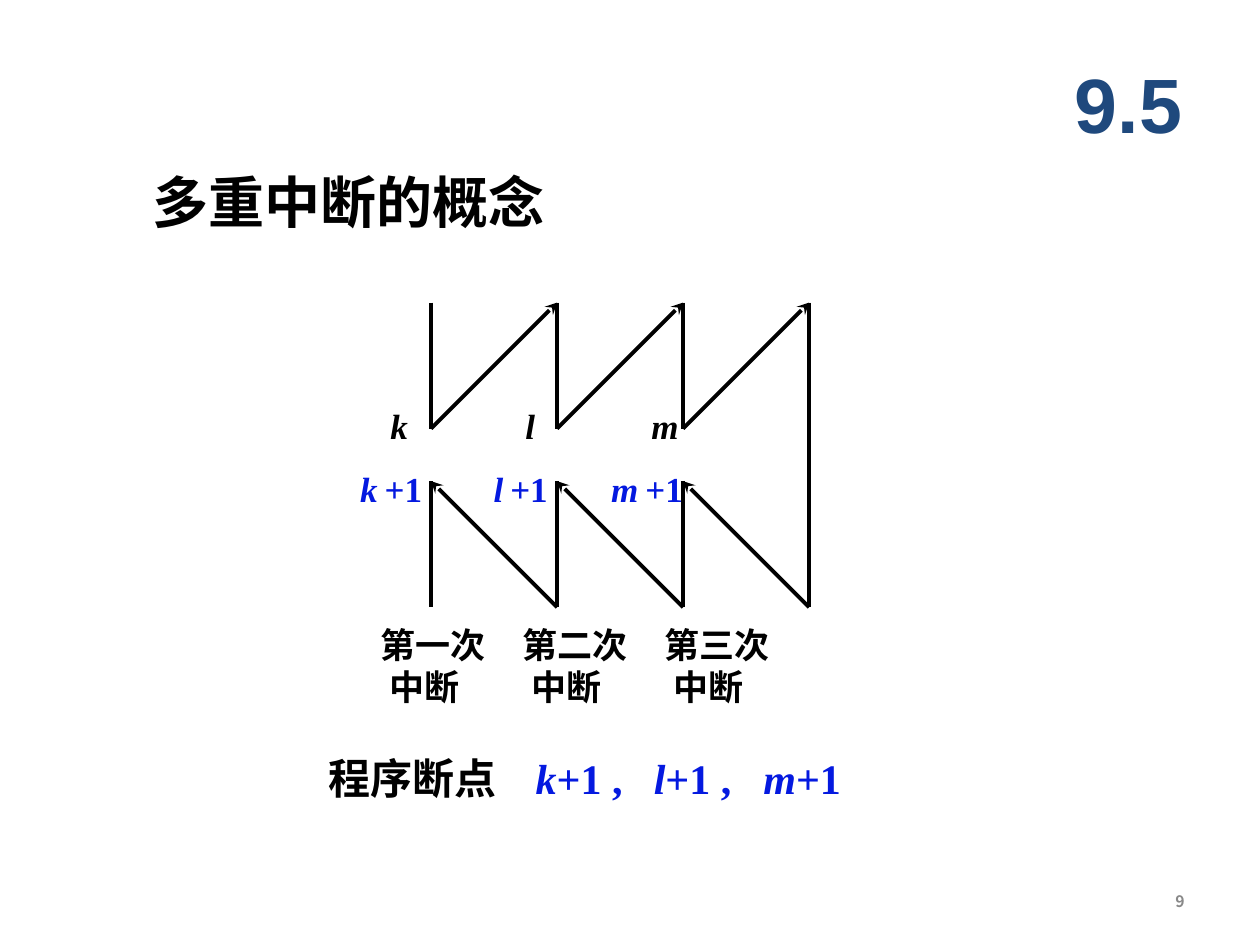
"""Build the slide on nested interrupts and their breakpoints."""
from lxml import etree
from pptx import Presentation
from pptx import util as u
from pptx.dml.color import RGBColor
from pptx.enum import shapes, text
from pptx.oxml.ns import qn

BLACK = RGBColor(0x00, 0x00, 0x00)
BLUE = RGBColor(0x04, 0x19, 0xE0)
NAVY = RGBColor(0x1F, 0x49, 0x7D)
GREY = RGBColor(0x89, 0x89, 0x89)
SERIF = "Times New Roman"

SECTION = "9.5"
HEADING = "多重中断的概念"
LEVELS = [
    {"name": "k", "at": (7.62, 0.86), "next_at": (7.01, 1.75), "caption": "第一次"},
    {"name": "l", "at": (10.34, 0.71), "next_at": (9.7, 1.6), "caption": "第二次"},
    {"name": "m", "at": (12.88, 1.07), "next_at": (12.07, 1.96), "caption": "第三次"},
]
INTERRUPT = "中断"
SUMMARY = "程序断点"
SUMMARY_TABS = (4.17, 6.55, 8.76)
PAGE = "9"

LEFT, STEP = 8.69, 2.54
CALL_TOP, CALL_END = 6.1, 8.64
RETURN_TOP, RETURN_END = 9.7, 12.24


def set_font(font, size, color=BLACK, name=SERIF):
    font.size, font.name, font.bold = u.Pt(size), name, True
    font.color.rgb = color


def add_box(s, x, y, w, h, wrap=False):
    tf = s.shapes.add_textbox(u.Cm(x), u.Cm(y), u.Cm(w), u.Cm(h)).text_frame
    tf.word_wrap = wrap
    return tf


def add_run(p, content, italic=False, color=None, size=None):
    r = p.add_run()
    r.text = content
    r.font.italic = italic
    if color is not None:
        r.font.color.rgb = color
    if size is not None:
        r.font.size = u.Pt(size)


def add_line(s, x1, y1, x2, y2, arrow=False):
    line = s.shapes.add_connector(
        shapes.MSO_CONNECTOR.STRAIGHT, u.Cm(x1), u.Cm(y1), u.Cm(x2), u.Cm(y2))
    line.line.color.rgb = BLACK
    line.line.width = u.Pt(2.25)
    if arrow:
        etree.SubElement(line.line._get_or_add_ln(), qn("a:tailEnd"), type="stealth")
    etree.SubElement(line._element.spPr, qn("a:effectLst"))


def add_diagram(s):
    last = LEFT + len(LEVELS) * STEP
    for i in range(len(LEVELS)):
        x = LEFT + i * STEP
        add_line(s, x, CALL_TOP, x, CALL_END)
        add_line(s, x, CALL_END, x + STEP, CALL_TOP, arrow=True)
        add_line(s, x + STEP, RETURN_END, x, RETURN_TOP, arrow=True)
        add_line(s, x, RETURN_TOP, x, RETURN_END)
    add_line(s, last, CALL_TOP, last, RETURN_END)


def add_labels(s):
    for i, level in enumerate(LEVELS):
        x, w = level["at"]
        p = add_box(s, x, 8.03, w, 1.09).paragraphs[0]
        set_font(p.font, 20)
        add_run(p, level["name"], italic=True)

        x, w = level["next_at"]
        p = add_box(s, x, 9.3, w, 1.09).paragraphs[0]
        set_font(p.font, 20, BLUE)
        add_run(p, level["name"], italic=True)
        add_run(p, " ", size=16)
        add_run(p, "+1")

        tf = add_box(s, 7.42 + i * 2.86, 12.45, 2.64, 1.96)
        tf.text = level["caption"] + "\n" + INTERRUPT
        for p in tf.paragraphs:
            set_font(p.font, 20)
        tf.paragraphs[1]._p.get_or_add_pPr().set("marL", str(u.Cm(0.18)))


def add_summary(s):
    p = add_box(s, 6.38, 15.04, 12.24, 1.27, wrap=True).paragraphs[0]
    tabs = etree.Element(qn("a:tabLst"))
    for pos in SUMMARY_TABS:
        etree.SubElement(tabs, qn("a:tab"), pos=str(u.Cm(pos)), algn="l")
    p._p.get_or_add_pPr().append(tabs)
    set_font(p.font, 24)
    add_run(p, SUMMARY + "\t")
    for level in LEVELS:
        add_run(p, level["name"], italic=True, color=BLUE)
        add_run(p, "+1" if level is LEVELS[-1] else "+1 ,\t", color=BLUE)


def main():
    prs = Presentation()
    prs.slide_width, prs.slide_height = u.Cm(25.4), u.Cm(19.05)
    s = prs.slides.add_slide(prs.slide_layouts[5])

    title = s.shapes.title
    title.left, title.top, title.width, title.height = (
        u.Cm(v) for v in (21.16, 0.91, 3.18, 2.34))
    title.text = SECTION
    title.text_frame.vertical_anchor = text.MSO_ANCHOR.MIDDLE
    p = title.text_frame.paragraphs[0]
    p.alignment = text.PP_ALIGN.CENTER
    set_font(p.font, 44, NAVY, "Arial")

    tf = add_box(s, 3.07, 3.45, 8.99, 1.19)
    tf.margin_left = tf.margin_right = tf.margin_top = tf.margin_bottom = 0
    tf.vertical_anchor = text.MSO_ANCHOR.MIDDLE
    tf.text = HEADING
    set_font(tf.paragraphs[0].font, 32)

    add_diagram(s)
    add_labels(s)
    add_summary(s)

    tf = add_box(s, 18.21, 17.65, 5.92, 1.02, wrap=True)
    tf.vertical_anchor = text.MSO_ANCHOR.MIDDLE
    tf.text = PAGE
    tf.paragraphs[0].alignment = text.PP_ALIGN.RIGHT
    set_font(tf.paragraphs[0].font, 9, GREY, "Noto Sans CJK SC")

    prs.save("out.pptx")


if __name__ == "__main__":
    main()
